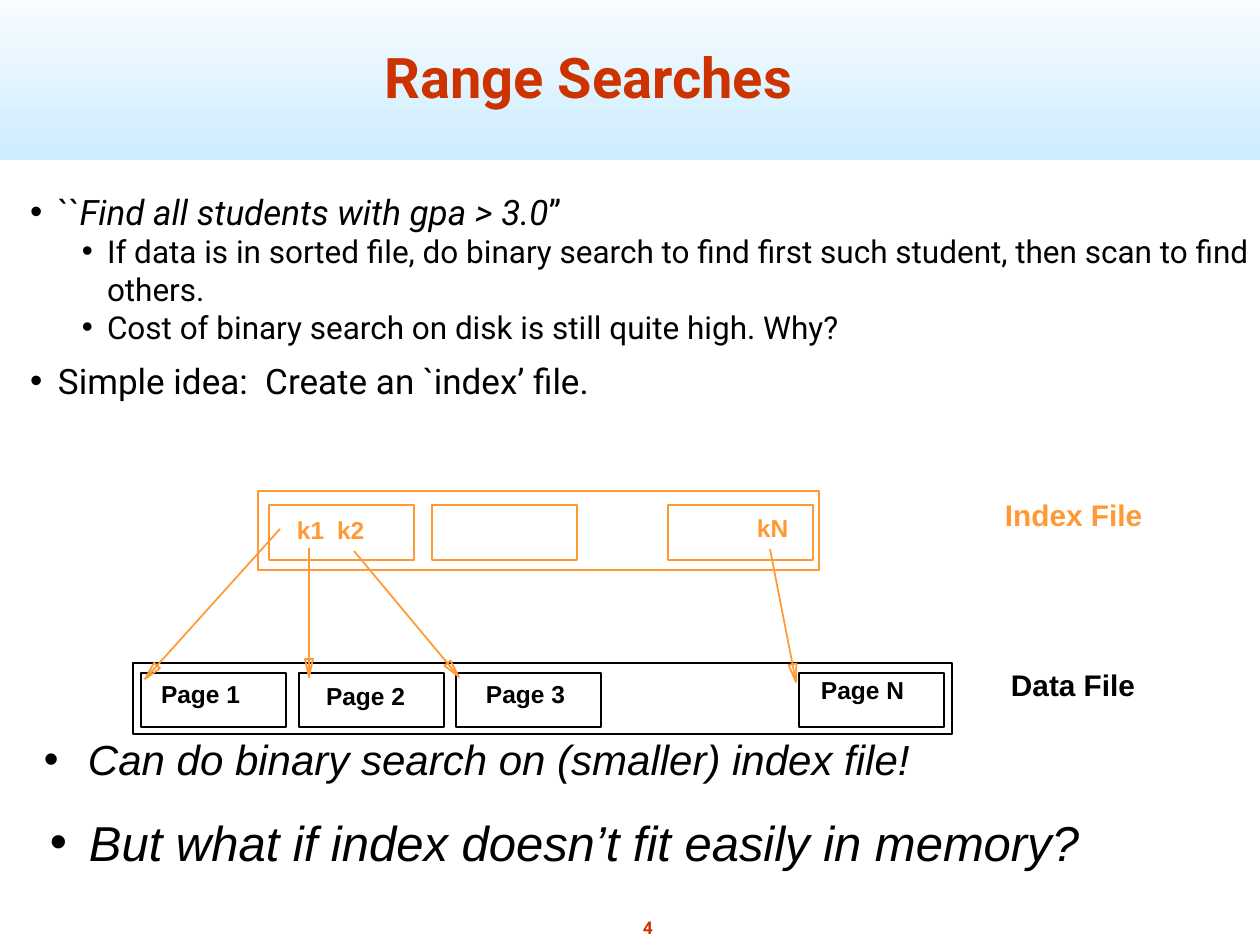
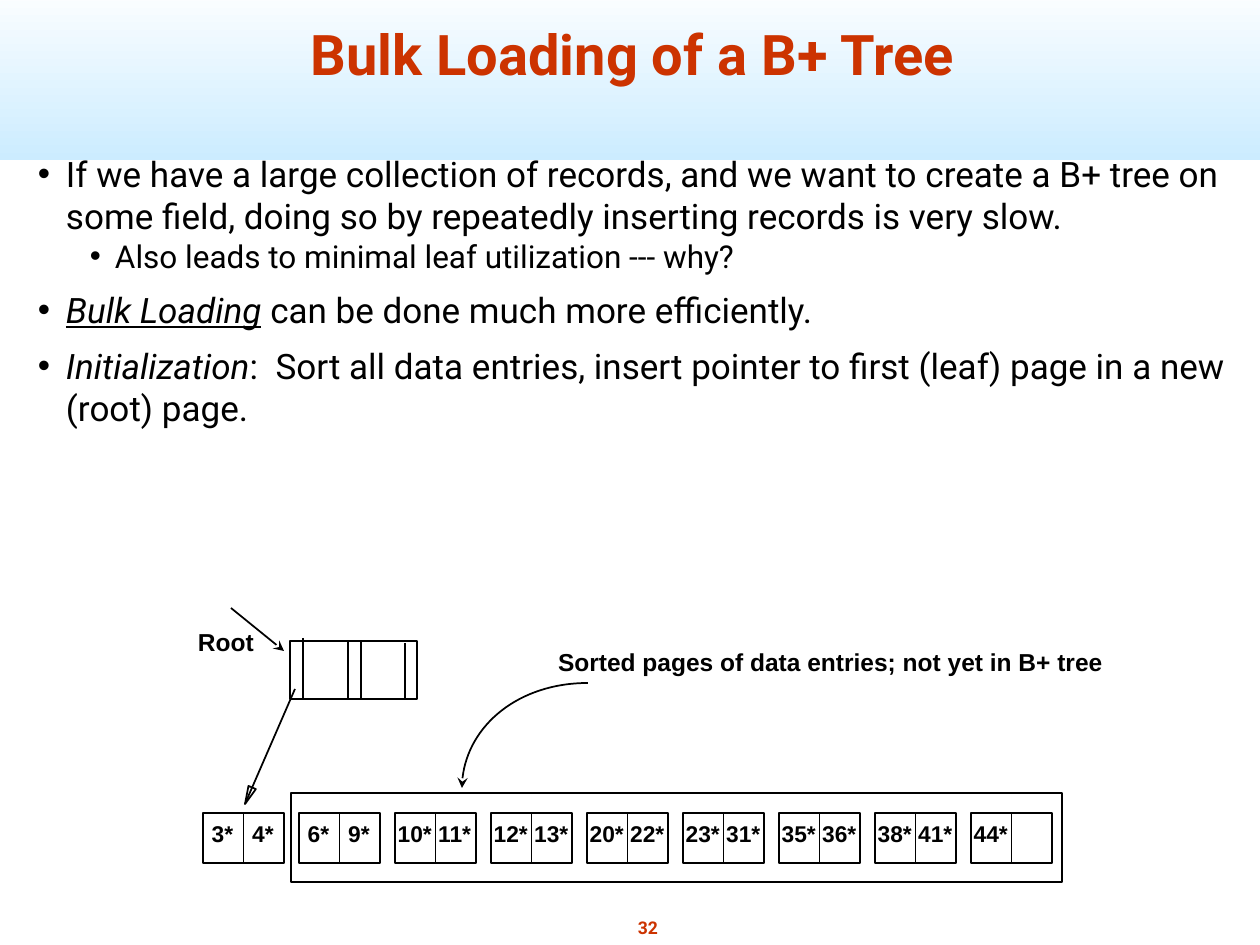
import math
from collections import namedtuple
from dataclasses import dataclass

from lxml import etree
from pptx import Presentation
from pptx import util as u
from pptx.dml import color as dml
from pptx.enum import shapes, text
from pptx.oxml import ns

Box = namedtuple("Box", "x y w h")


@dataclass(frozen=True)
class Theme:
    accent: str = "CC3300"
    ink: str = "000000"
    index: str = "FF9933"
    band_top: str = "FFFFFF"
    band_bottom: str = "CCECFF"
    head_font: str = "Roboto"
    label_font: str = "Arial"
    title: int = 32
    body: tuple = (20, 18)
    indent: tuple = ((28, 28), (77, 25))
    gap: tuple = (8, 0)
    caption: int = 17
    label: int = 14
    entry: int = 13
    number: int = 10
    line: int = 1
    inset: int = 6


T = Theme()
SCALE = 914400 / 126
WIDTH, HEIGHT = 1260, 945
ITALIC = {"italic": True}


def px(n):
    return u.Emu(round(n * SCALE))


def rgb(value):
    return dml.RGBColor.from_string(value)


def apply(obj, values):
    for key, value in values.items():
        setattr(obj, key, value)


def frame(sp, wrap=True, anchor=text.MSO_ANCHOR.TOP, fit=text.MSO_AUTO_SIZE.NONE):
    tf = sp.text_frame
    margins = {f"margin_{side}": px(T.inset) for side in ("left", "right", "top", "bottom")}
    apply(tf, {"auto_size": fit, "word_wrap": wrap, "vertical_anchor": anchor, **margins})
    return tf


def add_run(p, words, size, font, color=T.ink, **style):
    r = p.add_run()
    r.text = words
    apply(r.font, {"size": u.Pt(size), "name": font, **style})
    r.font.color.rgb = rgb(color)


def label(s, box, words, size=T.label, color=T.ink, font=T.label_font,
          align=text.PP_ALIGN.LEFT):
    sp = s.shapes.add_textbox(*map(px, box))
    p = frame(sp, wrap=False, fit=text.MSO_AUTO_SIZE.SHAPE_TO_FIT_TEXT).paragraphs[0]
    p.alignment = align
    add_run(p, words, size, font, color, bold=True)


def bullet(p, left, hang):
    pr = p._p.get_or_add_pPr()
    pr.set("marL", str(px(left)))
    pr.set("indent", str(-px(hang)))
    etree.SubElement(pr, ns.qn("a:buFont")).set("typeface", T.label_font)
    etree.SubElement(pr, ns.qn("a:buChar")).set("char", "•")


def outline(sp, color=T.ink):
    sp.line.color.rgb = rgb(color)
    sp.line.width = u.Pt(T.line)


def hollow(sp, color=T.ink):
    sp.fill.background()
    sp.shadow.inherit = False
    outline(sp, color)
    return sp


def rect(s, box, color=T.ink):
    hollow(s.shapes.add_shape(shapes.MSO_SHAPE.RECTANGLE, *map(px, box)), color)


def line(s, start, end, color=T.ink):
    sp = s.shapes.add_connector(shapes.MSO_CONNECTOR.STRAIGHT, *map(px, (*start, *end)))
    outline(sp, color)
    etree.SubElement(sp.element.spPr, ns.qn("a:effectLst"))
    return sp


def freeform(s, points, close, color=T.ink):
    first, *rest = [tuple(map(px, point)) for point in points]
    builder = s.shapes.build_freeform(*first)
    builder.add_line_segments(rest, close=close)
    return hollow(builder.convert_to_shape(), color)


def stealth(sp, end):
    ln = sp.element.spPr.find(ns.qn("a:ln"))
    etree.SubElement(ln, ns.qn(f"a:{end}")).set("type", "stealth")


def pointer(s, start, tip, color=T.ink, length=18, half=4):
    line(s, start, tip, color)
    angle = math.atan2(tip[1] - start[1], tip[0] - start[0])
    dx, dy = math.cos(angle), math.sin(angle)
    back = (tip[0] - length * dx, tip[1] - length * dy)
    barbs = [(back[0] - k * dy, back[1] + k * dx) for k in (half, -half)]
    freeform(s, [barbs[0], tip, barbs[1]], True, color)


def curved_arrow(s, box):
    x, y, w, h = box
    bend = 0.45
    points = [(x, y + h), (x, y + h * bend), (x + w * bend, y), (x + w, y)]
    sp = freeform(s, points, False)
    track = sp.element.find(".//" + ns.qn("a:path"))
    segments = track.findall(ns.qn("a:lnTo"))
    curve = etree.SubElement(track, ns.qn("a:cubicBezTo"))
    for segment in segments:
        curve.append(segment[0])
        track.remove(segment)
    stealth(sp, "headEnd")


def base_slide(prs, title, title_box, number, number_box):
    s = prs.slides.add_slide(prs.slide_layouts[5])
    band = s.shapes.add_shape(shapes.MSO_SHAPE.RECTANGLE, *map(px, (0, -21, WIDTH, 181)))
    band.shadow.inherit = False
    band.line.fill.background()
    band.fill.gradient()
    band.fill.gradient_angle = 90
    for stop, color in zip(band.fill.gradient_stops, (T.band_bottom, T.band_top)):
        stop.color.rgb = rgb(color)
    band.element.getparent().insert(2, band.element)

    sp = s.shapes.title
    apply(sp, dict(zip(("left", "top", "width", "height"), map(px, title_box))))
    p = frame(sp, anchor=text.MSO_ANCHOR.BOTTOM).paragraphs[0]
    p.alignment = text.PP_ALIGN.CENTER
    add_run(p, title, T.title, T.head_font, T.accent, bold=True)
    label(s, number_box, number, T.number, T.accent, T.head_font, text.PP_ALIGN.CENTER)
    return s


def body(s, box, items):
    tf = frame(s.shapes.add_textbox(*map(px, box)))
    for i, (level, runs) in enumerate(items):
        p = tf.add_paragraph() if i else tf.paragraphs[0]
        apply(p, {"level": level, "space_before": u.Pt(T.gap[level])})
        bullet(p, *T.indent[level])
        for words, style in runs:
            add_run(p, words, T.body[level], T.head_font, **style)


def remark(s, box, words, size, hang):
    p = frame(s.shapes.add_textbox(*map(px, box))).paragraphs[0]
    bullet(p, hang, hang)
    add_run(p, words, size, T.label_font, italic=True)


def file_row(s, box, caption, caption_box, cells, cell_size, labels, color):
    rect(s, box, color)
    for x, y in cells:
        rect(s, (box.x + x, box.y + y, *cell_size), color)
    for words, x, y, w in labels:
        label(s, (box.x + x, box.y + y, w, 40), words, color=color)
    x, y, w = caption_box
    label(s, (box.x + x, box.y + y, w, 47), caption, T.caption, color)


def pointers(s, source, target, links):
    for (x1, y1), (x2, y2) in links:
        pointer(s, (source.x + x1, source.y + y1), (target.x + x2, target.y + y2), T.index)


def leaf(s, box, entries):
    rect(s, box)
    half = box.w / 2
    line(s, (box.x + half, box.y), (box.x + half, box.y + box.h))
    for i, words in enumerate(entries):
        w = 37 if len(words) == 2 else 49
        center = box.x + half * (i + 0.5) + 1
        label(s, (center - w / 2, box.y + 1, w, 38), words, T.entry)


def leaves(s, box, pages, pitch=96):
    for i, entries in enumerate(pages):
        leaf(s, Box(box.x + i * pitch, box.y, 81, box.h), entries)


def root_node(s, box):
    rect(s, box)
    for x, top in ((13, -3), (58, 0), (71, 0), (115, 2)):
        line(s, (box.x + x, box.y + top), (box.x + x, box.y + box.h))
    label(s, (box.x - 98, box.y - 20, 71, 40), "Root")
    stealth(line(s, (box.x - 59, box.y - 33), (box.x - 6, box.y + 10)), "tailEnd")
    pointer(s, (box.x + 5, box.y + 48), (box.x - 45, box.y + 163))


def sorted_pages(s, box):
    rect(s, box)
    label(s, (box.x + 261, box.y - 152, 558, 40),
          "Sorted pages of data entries; not yet in B+ tree")
    curved_arrow(s, Box(box.x + 171, box.y - 110, 126, 105))


def range_searches(prs):
    s = base_slide(prs, "Range Searches", (53, 0, 1071, 116), "4", (636, 911, 24, 34))
    body(s, (24, 184, 1239, 307), [
        (0, [("``", {}), ("Find all students with gpa > 3.0", ITALIC), ("’’", {})]),
        (1, [("If data is in sorted file, do binary search to find first such student, "
              "then scan to find others.", {})]),
        (1, [("Cost of binary search on disk is still quite high. Why?", {})]),
        (0, [("Simple idea:  Create an `index’ file.", {})]),
    ])
    index, data = Box(258, 491, 561, 79), Box(133, 663, 819, 71)
    file_row(s, data, "Data File", (872, -2, 139),
             [(8, 10), (166, 10), (323, 10), (666, 10)], (145, 54),
             [("Page 1", 22, 10, 93), ("Page 2", 187, 12, 93),
              ("Page 3", 347, 10, 93), ("Page N", 682, 6, 97)], T.ink)
    file_row(s, index, "Index File", (741, 0, 151),
             [(11, 14), (174, 14), (410, 14)], (145, 55),
             [("k1", 33, 18, 42), ("k2", 73, 18, 42), ("kN", 493, 16, 45)], T.index)
    pointers(s, index, data, [
        ((22, 38), (12, 16)),
        ((51, 57), (176, 14)),
        ((96, 60), (326, 14)),
        ((512, 58), (663, 19)),
    ])
    remark(s, (38, 728, 1086, 63), "Can do binary search on (smaller) index file!", 24, 44)
    remark(s, (44, 806, 1111, 71), "But what if index doesn’t fit easily in memory?", 28, 39)


def bulk_loading(prs):
    s = base_slide(prs, "Bulk Loading of a B+ Tree", (76, 9, 1113, 84), "32",
                   (631, 911, 34, 34))
    body(s, (32, 147, 1218, 567), [
        (0, [("If we have a large collection of records, and we want to create a B+ tree on "
              "some field, doing so by repeatedly inserting records is very slow.", {})]),
        (1, [("Also leads to minimal leaf utilization --- why?", {})]),
        (0, [("Bulk Loading", {"italic": True, "underline": True}), (" ", ITALIC),
             ("can be done much more efficiently.", {})]),
        (0, [("Initialization", ITALIC),
             (":  Sort all data entries, insert pointer to first (leaf) page in a new "
              "(root) page.", {})]),
    ])
    leaves(s, Box(203, 813, 849, 50), [
        ("3*", "4*"), ("6*", "9*"), ("10*", "11*"), ("12*", "13*"), ("20*", "22*"),
        ("23*", "31*"), ("35*", "36*"), ("38*", "41*"), ("44*",),
    ])
    root_node(s, Box(290, 641, 127, 58))
    sorted_pages(s, Box(291, 793, 771, 89))


def main():
    prs = Presentation()
    apply(prs, {"slide_width": px(WIDTH), "slide_height": px(HEIGHT)})
    range_searches(prs)
    bulk_loading(prs)
    prs.save("out.pptx")


if __name__ == "__main__":
    main()
